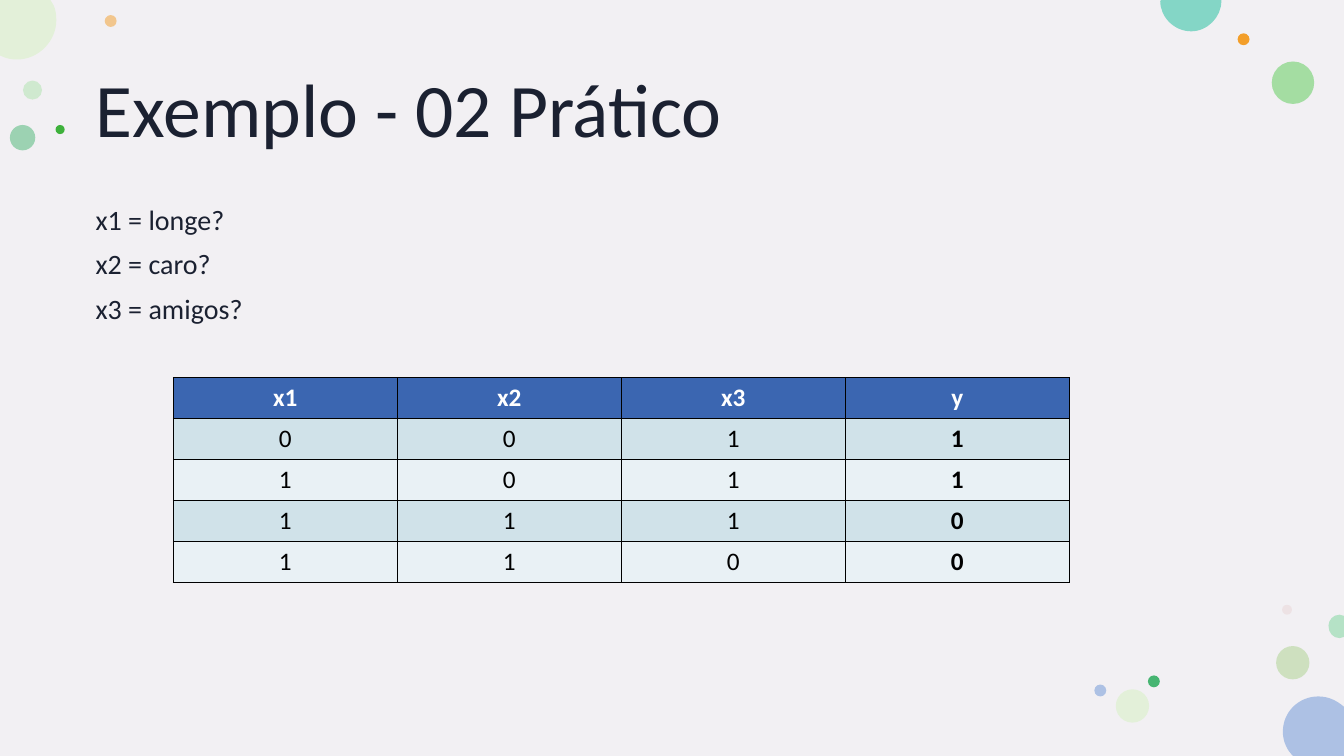
from lxml import etree
from pptx import Presentation
from pptx.dml.color import RGBColor
from pptx.enum.shapes import MSO_SHAPE
from pptx.enum.text import MSO_ANCHOR, MSO_AUTO_SIZE, PP_ALIGN
from pptx.oxml import parse_xml
from pptx.oxml.ns import qn
from pptx.util import Cm, Pt

ELLIPSE, RECTANGLE = MSO_SHAPE.OVAL, MSO_SHAPE.RECTANGLE
MIDDLE, TOP = MSO_ANCHOR.MIDDLE, MSO_ANCHOR.TOP
LEFT, CENTER = PP_ALIGN.LEFT, PP_ALIGN.CENTER
NO_AUTOFIT = MSO_AUTO_SIZE.NONE

WIDTH, HEIGHT = 33.87, 19.05
FONT, TEXT_COLOR = "Calibri", "1B2131"
TITLE = "Exemplo - 02 Prático"
DEFINITIONS = ["x1 = longe?", "x2 = caro?", "x3 = amigos?"]
TRUTH_TABLE = [
    ["x1", "x2", "x3", "y"],
    ["0", "0", "1", "1"],
    ["1", "0", "1", "1"],
    ["1", "1", "1", "0"],
    ["1", "1", "0", "0"],
]
HEADER_FILL, BAND_FILLS = "3B66B1", ["E9F1F5", "D0E2E9"]

# left, top, diameter in cm, colour, opacity in percent
BUBBLES = [
    (0.58, 2.03, 0.48, "AEE4AD", 50),
    (2.64, 0.38, 0.3, "F39E29", 50),
    (32.16, 16.28, 0.84, "ABD28D", 50),
    (0.25, 3.15, 0.64, "47B572", 50),
    (32.05, 1.55, 1.07, "86D684", 72),
    (31.19, 0.84, 0.3, "F39E29", 100),
    (32.31, 15.24, 0.25, "E3BEBE", 28),
    (28.93, 17.02, 0.3, "47B572", 100),
    (28.12, 17.37, 0.84, "E3F0D9", 100),
    (27.58, 17.25, 0.3, "ADC1E4", 100),
    (1.4, 3.15, 0.23, "3EB13B", 100),
]
# Bubbles cut by the slide edge: colour, start point, then segments in cm
# (one point is a line, three points are a curve)
CUT_BUBBLES = [
    ("ADC1E4", (33.22, 17.55), [
        [(33.48, 17.55), (33.68, 17.65), (33.87, 17.81)],
        [(33.87, 19.05)], [(32.59, 19.05)], [(32.54, 19)],
        [(32.41, 18.85), (32.33, 18.65), (32.33, 18.44)],
        [(32.33, 17.93), (32.74, 17.55), (33.22, 17.55)],
    ]),
    ("E3F0D9", (0, 0), [
        [(1.27, 0)], [(1.35, 0.13)],
        [(1.4, 0.23), (1.42, 0.36), (1.42, 0.51)],
        [(1.42, 1.04), (0.97, 1.5), (0.43, 1.5)],
        [(0.28, 1.5), (0.15, 1.47), (0.05, 1.42)],
        [(0, 1.4)],
    ]),
    ("84D6C6", (29.26, 0), [
        [(30.78, 0)], [(30.78, 0.03)],
        [(30.78, 0.43), (30.43, 0.79), (30.02, 0.79)],
        [(29.59, 0.79), (29.24, 0.43), (29.24, 0.03)],
    ]),
    ("B5E2C6", (33.76, 15.49), [
        [(33.87, 15.52)], [(33.87, 16.05)], [(33.76, 16.08)],
        [(33.6, 16.08), (33.48, 15.95), (33.48, 15.77)],
        [(33.48, 15.62), (33.6, 15.49), (33.76, 15.49)],
    ]),
]


def color(value):
    return RGBColor.from_string(value)


def format_font(paragraph, size, font_color, bold=False):
    for name, value in {"name": FONT, "size": Pt(size), "bold": bold}.items():
        setattr(paragraph.font, name, value)
    paragraph.font.color.rgb = color(font_color)


presentation = Presentation()
presentation.slide_width, presentation.slide_height = Cm(WIDTH), Cm(HEIGHT)
slide = presentation.slides.add_slide(presentation.slide_layouts[5])
title = slide.shapes.title

# Backdrop and bubbles
backdrop = slide.shapes.add_shape(RECTANGLE, 0, 0, Cm(WIDTH), Cm(HEIGHT))
decorations = [(backdrop, "F2F0F3", 100)]
for left, top, diameter, fill_color, opacity in BUBBLES:
    bubble = slide.shapes.add_shape(ELLIPSE, Cm(left), Cm(top), Cm(diameter), Cm(diameter))
    decorations.append((bubble, fill_color, opacity))

for fill_color, start, segments in CUT_BUBBLES:
    builder = slide.shapes.build_freeform(Cm(start[0]), Cm(start[1]))
    builder.add_line_segments([(Cm(x), Cm(y)) for segment in segments for x, y in segment])
    bubble = builder.convert_to_shape()
    lines = iter(list(bubble._element.iter(qn("a:lnTo"))))
    for segment in segments:
        first, *others = [next(lines) for _ in segment]
        if others:
            first.tag = qn("a:cubicBezTo")
        for line in others:
            first.append(line[0])
            line.getparent().remove(line)
    decorations.append((bubble, fill_color, 100))

for shape, fill_color, opacity in decorations:
    shape.shadow.inherit = False
    shape.line.fill.background()
    shape.fill.solid()
    shape.fill.fore_color.rgb = color(fill_color)
    if opacity < 100:
        color_element = shape._element.spPr.find(".//" + qn("a:srgbClr"))
        etree.SubElement(color_element, qn("a:alpha"), val=str(opacity * 1000))

# Title in front of the backdrop, and definitions
slide.shapes._spTree.append(title._element)
title.left, title.top, title.width, title.height = Cm(2.16), Cm(1.02), Cm(29.62), Cm(3.68)
definitions = slide.shapes.add_textbox(Cm(2.16), Cm(5.08), Cm(29.62), Cm(12.09))
for shape, lines, size, anchor in [
    (title, [TITLE], 54, MIDDLE),
    (definitions, DEFINITIONS, 20, TOP),
]:
    frame = shape.text_frame
    frame.text = "\n".join(lines)
    frame.word_wrap = True
    frame.auto_size = NO_AUTOFIT
    frame.vertical_anchor = anchor
    for index, paragraph in enumerate(frame.paragraphs):
        paragraph.alignment = LEFT
        paragraph.line_spacing = 0.9
        paragraph.space_before = Pt(10 if index else 0)
        format_font(paragraph, size, TEXT_COLOR)

# Truth table
rows, columns = len(TRUTH_TABLE), len(TRUTH_TABLE[0])
table = slide.shapes.add_table(rows, columns, Cm(4.37), Cm(9.52), Cm(22.58), Cm(5.15)).table
for row, values in enumerate(TRUTH_TABLE):
    for column, value in enumerate(values):
        cell = table.cell(row, column)
        cell.text = value
        cell.vertical_anchor = MIDDLE
        cell.fill.solid()
        cell.fill.fore_color.rgb = color(BAND_FILLS[row % 2] if row else HEADER_FILL)
        paragraph = cell.text_frame.paragraphs[0]
        paragraph.alignment = CENTER
        is_bold = row == 0 or column == columns - 1
        format_font(paragraph, 18, "000000" if row else "FFFFFF", is_bold)
        properties = cell._tc.get_or_add_tcPr()
        for position, side in enumerate(["lnL", "lnR", "lnT", "lnB"]):
            border = parse_xml(
                f'<a:{side} xmlns:a="http://schemas.openxmlformats.org/drawingml/2006/main" '
                f'w="{Pt(1)}"><a:solidFill><a:srgbClr val="000000"/></a:solidFill></a:{side}>'
            )
            properties.insert(position, border)

presentation.save("out.pptx")
